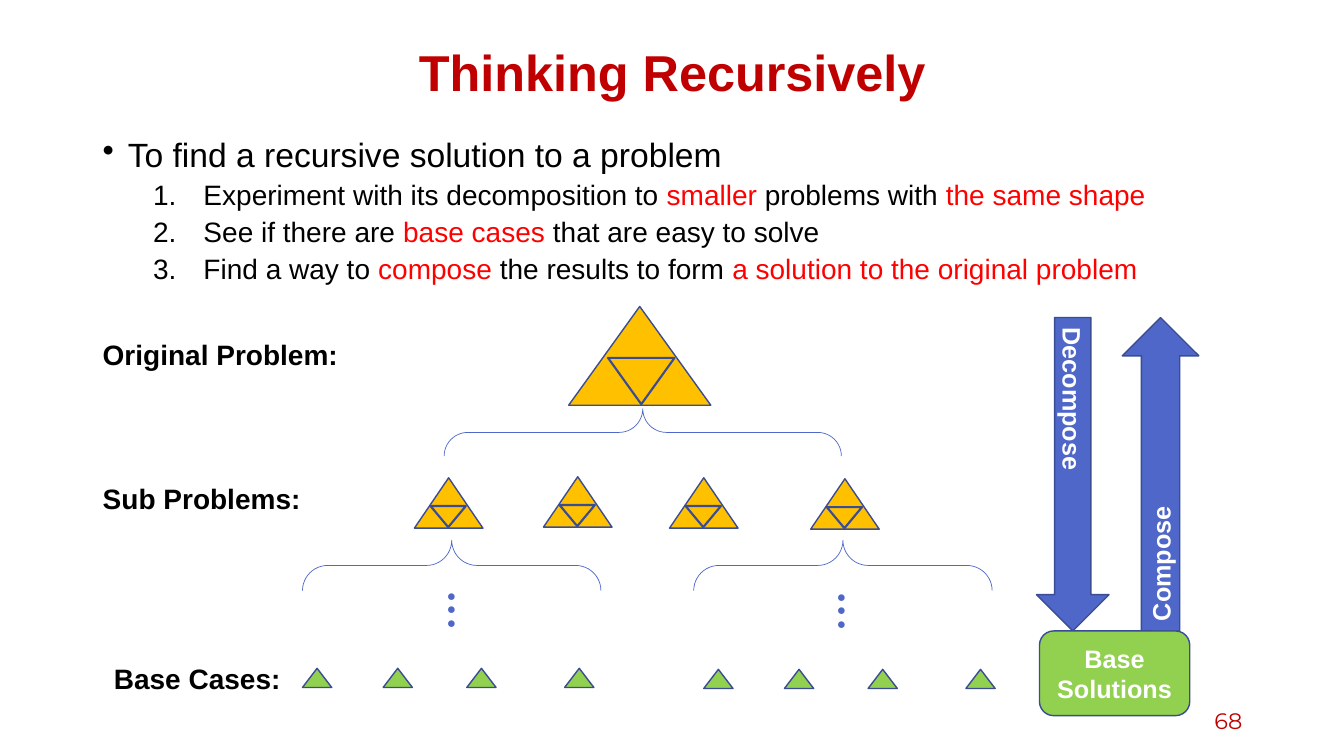
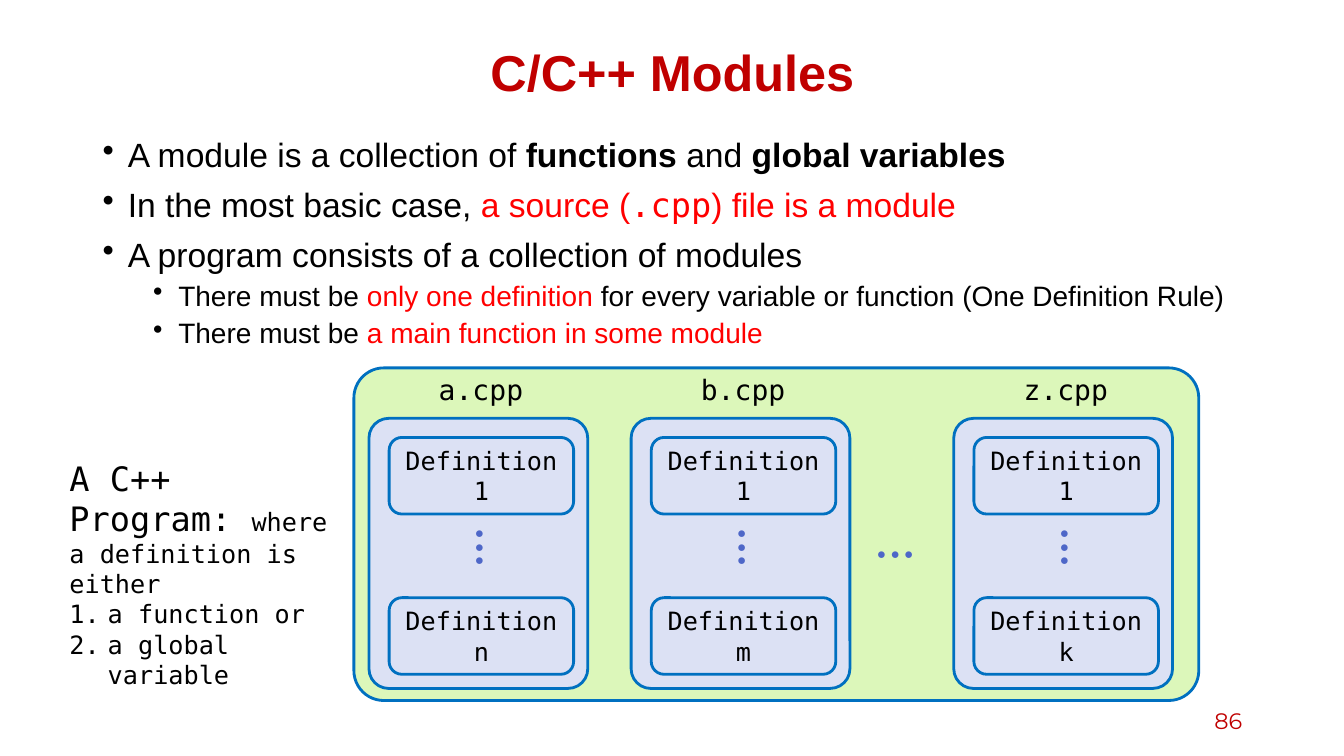
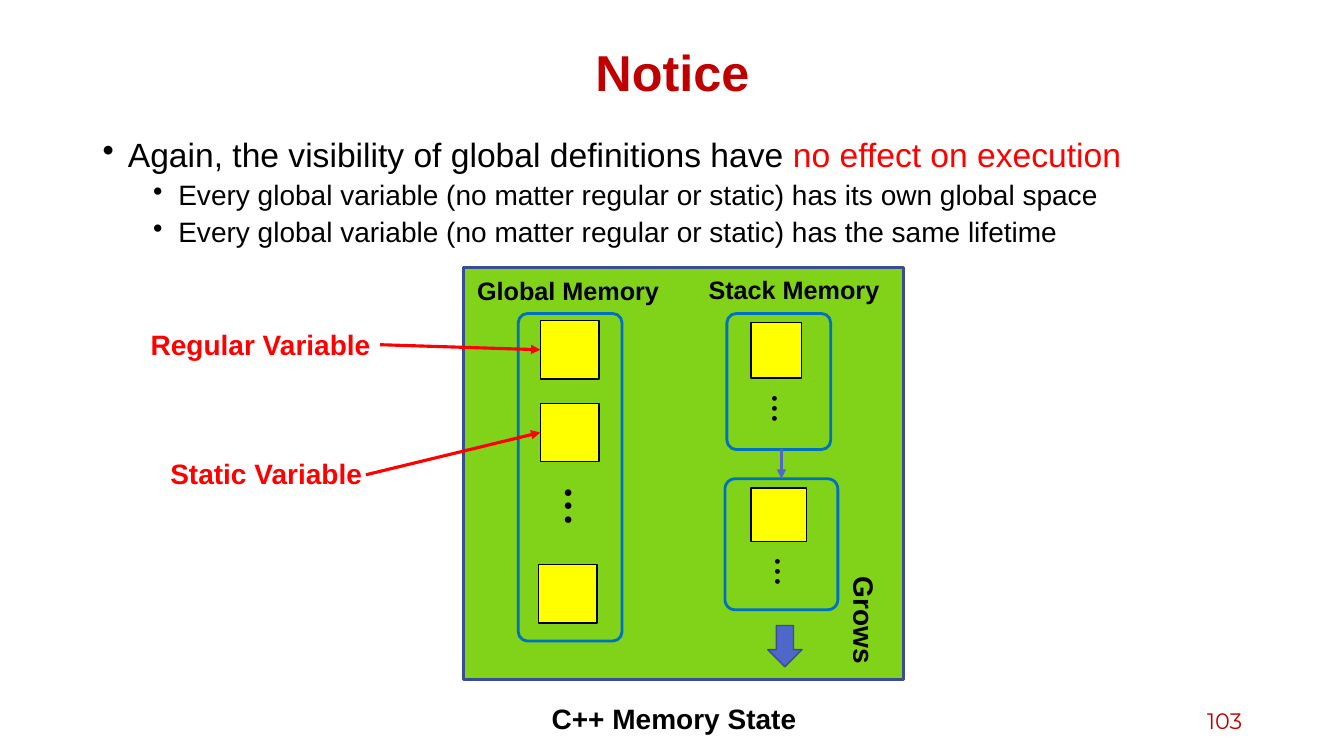
import dataclasses

import lxml.etree
import pptx
import pptx.dml.color
import pptx.enum.shapes
import pptx.enum.text
import pptx.oxml.ns
import pptx.util

Inches = pptx.util.Inches
Pt = pptx.util.Pt
Shape = pptx.enum.shapes.MSO_SHAPE
Align = pptx.enum.text.PP_ALIGN
Anchor = pptx.enum.text.MSO_ANCHOR
rgb = pptx.dml.color.RGBColor.from_string
qn = pptx.oxml.ns.qn


@dataclasses.dataclass(frozen=True)
class Theme:
    sans: str = "Arial"
    mono: str = "DejaVu Sans Mono"
    number_font: str = "Montserrat"
    title_red: str = "C00000"
    red: str = "FF0000"
    black: str = "000000"
    white: str = "FFFFFF"
    blue: str = "4E67C8"
    outline: str = "3A4C94"
    frame: str = "0070C0"
    orange: str = "FFC000"
    green: str = "92D050"
    program: str = "DCF7BA"
    module: str = "DCE1F4"
    memory: str = "81D31A"
    yellow: str = "FFFF00"
    title_size: int = 36
    body_size: int = 24
    sub_size: int = 20
    label_size: int = 18
    number_size: int = 16
    dots_size: int = 11
    small_dots_size: int = 8


theme = Theme()


def draw(page, at, preset=None, fill=None, line=None, weight=1, turn=0, adjust=()):
    """Add a preset shape, or a text box when no preset is given."""
    place = [Inches(length) for length in at]
    if preset is None:
        box = page.shapes.add_textbox(*place)
    else:
        box = page.shapes.add_shape(preset, *place)
        box.shadow.inherit = False
        if fill:
            box.fill.solid()
            box.fill.fore_color.rgb = rgb(fill)
        else:
            box.fill.background()
        box.line.color.rgb = rgb(line)
        box.line.width = Pt(weight)
        for index, value in enumerate(adjust):
            box.adjustments[index] = value
    box.rotation = turn
    box.text_frame.word_wrap = True
    return box


def write(box, runs, size, color=theme.black, font=theme.sans, bold=False,
          align=Align.LEFT, marker=None, indent=0, hang=0.25):
    """Add a paragraph; runs is a string or (text, emphasis words) pairs."""
    frame = box.text_frame
    para = frame.paragraphs[0]
    if para.runs:
        para = frame.add_paragraph()
    if marker:
        properties = para._p.get_or_add_pPr()
        properties.set("marL", str(Inches(indent)))
        properties.set("indent", str(Inches(-hang)))
        if marker == "•":
            lxml.etree.SubElement(properties, qn("a:buChar"), char=marker)
        else:
            lxml.etree.SubElement(properties, qn("a:buAutoNum"), type=marker)
    para.alignment = align
    para.font.size = Pt(size)
    para.font.name = font
    para.font.bold = bold
    para.font.color.rgb = rgb(color)
    for text, emphasis in [(runs, "")] if isinstance(runs, str) else runs:
        span = para.add_run()
        span.text = text
        if "red" in emphasis:
            span.font.color.rgb = rgb(theme.red)
        if "bold" in emphasis:
            span.font.bold = True
        if "code" in emphasis:
            span.font.name = theme.mono
        if "small" in emphasis:
            span.font.size = Pt(theme.label_size)
    return para


deck = pptx.Presentation()
deck.slide_width = Inches(13.33)
deck.slide_height = Inches(7.5)

# Titles, bullets and page numbers
bullet_styles = {
    "top": dict(size=theme.body_size, marker="•", indent=0.25),
    "sub": dict(size=theme.sub_size, marker="•", indent=0.75),
    "step": dict(size=theme.sub_size, marker="arabicPeriod", indent=1, hang=0.5),
}
contents = [
    ("Thinking Recursively", "68", [
        ("top", "To find a recursive solution to a problem"),
        ("step", [("Experiment with its decomposition to ", ""), ("smaller", "red"),
                  (" problems with ", ""), ("the same shape", "red")]),
        ("step", [("See if there are ", ""), ("base cases ", "red"),
                  ("that are easy to solve", "")]),
        ("step", [("Find a way to ", ""), ("compose", "red"),
                  (" the results to form ", ""),
                  ("a solution to the original problem", "red")]),
    ]),
    ("C/C++ Modules", "86", [
        ("top", [("A module is a collection of ", ""), ("functions ", "bold"),
                 ("and", ""), (" global variables", "bold")]),
        ("top", [("In the most basic case, ", ""), ("a source (", "red"),
                 (".cpp", "red code"), (") file is a module", "red")]),
        ("top", "A program consists of a collection of modules"),
        ("sub", [("There must be ", ""), ("only one definition", "red"),
                 (" for every variable or function (One Definition Rule)", "")]),
        ("sub", [("There must be ", ""), ("a main function in some module", "red")]),
    ]),
    ("Notice", "103", [
        ("top", [("Again, the visibility of global definitions have ", ""),
                 ("no effect on execution", "red")]),
        ("sub", "Every global variable (no matter regular or static) "
                "has its own global space"),
        ("sub", "Every global variable (no matter regular or static) "
                "has the same lifetime"),
    ]),
]
pages = []
for title, number, bullets in contents:
    page = deck.slides.add_slide(deck.slide_layouts[6])
    pages.append(page)
    title_box = draw(page, (0.92, 0.4, 11.5, 0.7))
    title_box.text_frame.vertical_anchor = Anchor.MIDDLE
    write(title_box, title, theme.title_size, theme.title_red, bold=True,
          align=Align.CENTER).line_spacing = 0.9
    body = draw(page, (0.92, 1.32, 11.5, 5.51))
    for index, (kind, runs) in enumerate(bullets):
        para = write(body, runs, **bullet_styles[kind])
        para.line_spacing = 0.9
        para.level = 0 if kind == "top" else 1
        if index:
            para.space_before = Pt(10 if kind == "top" else 5)
    number_box = draw(page, (9.42, 6.95, 3, 0.4))
    number_box.text_frame.vertical_anchor = Anchor.MIDDLE
    write(number_box, number, theme.number_size, theme.title_red,
          theme.number_font, align=Align.RIGHT)
recursion, modules_page, notice = pages

# Recursion tree
big = ((1.41, 0.98), (0.39, 0.51, 0.66, 0.46))
small = ((0.68, 0.5), (0.16, 0.28, 0.35, 0.21))
for left, top, (outer, (dx, dy, width, height)) in [
        (5.64, 3.04, big), (4.11, 4.74, small), (5.39, 4.73, small),
        (6.64, 4.74, small), (8.04, 4.75, small)]:
    draw(recursion, (left, top, *outer), Shape.ISOSCELES_TRIANGLE,
         theme.orange, theme.outline)
    draw(recursion, (left + dx, top + dy, width, height), Shape.ISOSCELES_TRIANGLE,
         theme.orange, theme.outline, 1.5, turn=180)

for at in [(6.14, 2.32, 0.47, 3.94), (4.23, 4.13, 0.5, 2.96), (8.11, 4.13, 0.5, 2.96)]:
    draw(recursion, at, Shape.LEFT_BRACE, line=theme.blue, weight=0.5,
         turn=90, adjust=(0.5, 0.5))

for left, top in [(3, 6.63), (6.98, 6.64)]:
    for offset in (0, 0.8, 1.63, 2.6):
        draw(recursion, (left + offset, top, 0.29, 0.19), Shape.ISOSCELES_TRIANGLE,
             theme.green, theme.outline)

for text, left, top in [("Original Problem:", 0.92, 3.3), ("Sub Problems:", 0.92, 4.73),
                        ("Base Cases:", 1.03, 6.51)]:
    write(draw(recursion, (left, top, 2.75, 0.44)), text, theme.sub_size, bold=True)

for text, at, turn in [("Decompose", (10.28, 3.15, 0.72, 3.11), 0),
                       ("Compose", (11.13, 3.15, 0.76, 3.11), 180)]:
    arrow = draw(recursion, at, Shape.DOWN_ARROW, theme.blue, theme.outline, turn=turn)
    arrow.text_frame._txBody.bodyPr.set("vert", "eaVert")
    write(arrow, text, theme.label_size, theme.white, bold=True, align=Align.CENTER)
base = draw(recursion, (10.31, 6.26, 1.49, 0.84), Shape.ROUNDED_RECTANGLE,
            theme.green, theme.outline)
write(base, "Base Solutions", theme.label_size, theme.white, bold=True,
      align=Align.CENTER)

# Program made of modules
draw(modules_page, (3.51, 3.65, 8.38, 3.3), Shape.ROUNDED_RECTANGLE,
     theme.program, theme.frame, 2, adjust=(0.09,))
module_lefts = (3.66, 6.26, 9.46)
for left, name, last in zip(module_lefts, "abz", "nmk"):
    draw(modules_page, (left, 4.15, 2.17, 2.68), Shape.ROUNDED_RECTANGLE,
         theme.module, theme.frame, 2, adjust=(0.09,))
    for top, index in [(4.34, "1"), (5.93, last)]:
        definition = draw(modules_page, (left + 0.2, top, 1.83, 0.76),
                          Shape.ROUNDED_RECTANGLE, line=theme.frame, weight=2)
        write(definition, f"Definition {index}", theme.label_size, font=theme.mono,
              align=Align.CENTER)
    write(draw(modules_page, (left + 0.3, 3.65, 1.62, 0.44)), f"{name}.cpp",
          theme.sub_size, font=theme.mono, align=Align.CENTER)

caption = draw(modules_page, (0.59, 4.49, 2.98, 1.72))
write(caption, [("A C++ Program: ", ""), ("where a definition is either", "small")],
      theme.body_size, font=theme.mono)
for text in ("a function or", "a global variable"):
    write(caption, text, theme.label_size, font=theme.mono, marker="arabicPeriod",
          indent=0.38, hang=0.38)

# Memory state
draw(notice, (4.6, 2.65, 4.36, 4.09), Shape.RECTANGLE, theme.memory, theme.outline, 2.25)
for at in [(5.36, 3.18, 0.58, 0.58), (5.36, 4, 0.58, 0.58), (5.34, 5.6, 0.58, 0.58),
           (7.45, 3.2, 0.5, 0.55), (7.45, 4.84, 0.55, 0.53)]:
    draw(notice, at, Shape.RECTANGLE, theme.yellow, theme.black)
for at in [(5.14, 3.11, 1.03, 3.25), (7.21, 3.11, 1.03, 1.35), (7.19, 4.75, 1.12, 1.3)]:
    draw(notice, at, Shape.ROUNDED_RECTANGLE, line=theme.frame, weight=2, adjust=(0.09,))
draw(notice, (7.58, 6.24, 0.41, 0.34), Shape.RIGHT_ARROW, theme.blue, theme.outline,
     turn=90)
write(draw(notice, (8.01, 5.96, 1.12, 0.44), turn=90), "Grows", theme.sub_size, bold=True)

for text, at, size, color in [
        ("Stack Memory", (6.84, 2.67, 2.07, 0.4), theme.label_size, theme.black),
        ("Global Memory", (4.6, 2.68, 2.07, 0.4), theme.label_size, theme.black),
        ("C++ Memory State", (5.11, 6.91, 3.15, 0.44), theme.sub_size, theme.black),
        ("Regular Variable", (1.1, 3.2, 2.97, 0.44), theme.sub_size, theme.red),
        ("Static Variable", (1.35, 4.48, 2.58, 0.44), theme.sub_size, theme.red)]:
    write(draw(notice, at), text, size, color, bold=True, align=Align.CENTER)

for ends, color in [((7.75, 4.45, 7.75, 4.75), theme.blue),
                    ((3.77, 3.42, 5.36, 3.47), theme.red),
                    ((3.63, 4.71, 5.36, 4.29), theme.red)]:
    pointer = notice.shapes.add_connector(
        pptx.enum.shapes.MSO_CONNECTOR.STRAIGHT, *[Inches(length) for length in ends])
    pointer.line.color.rgb = rgb(color)
    pointer.line.width = Pt(2.25)
    lxml.etree.SubElement(pointer.line._get_or_add_ln(), qn("a:tailEnd"), type="triangle")
    lxml.etree.SubElement(pointer._element.spPr, qn("a:effectLst"))

# Dots that stand for left-out items
wide = (0.84, 0.29)
for page, left, top, extent, turn, size, color in [
        (recursion, 4.07, 6.05, wide, 90, theme.dots_size, theme.blue),
        (recursion, 7.94, 6.06, wide, 90, theme.dots_size, theme.blue),
        *[(modules_page, left + 0.69, 5.43, wide, 90, theme.dots_size, theme.blue)
          for left in module_lefts],
        (modules_page, 8.6, 5.35, wide, 0, theme.dots_size, theme.blue),
        (notice, 5.23, 5.02, wide, 90, theme.dots_size, theme.black),
        (notice, 7.31, 4.12, (0.79, 0.21), 90, theme.small_dots_size, theme.black),
        (notice, 7.35, 5.71, (0.76, 0.22), 90, theme.small_dots_size, theme.black)]:
    write(draw(page, (left, top, *extent), turn=turn), "● ● ●", size, color)

deck.save("out.pptx")
